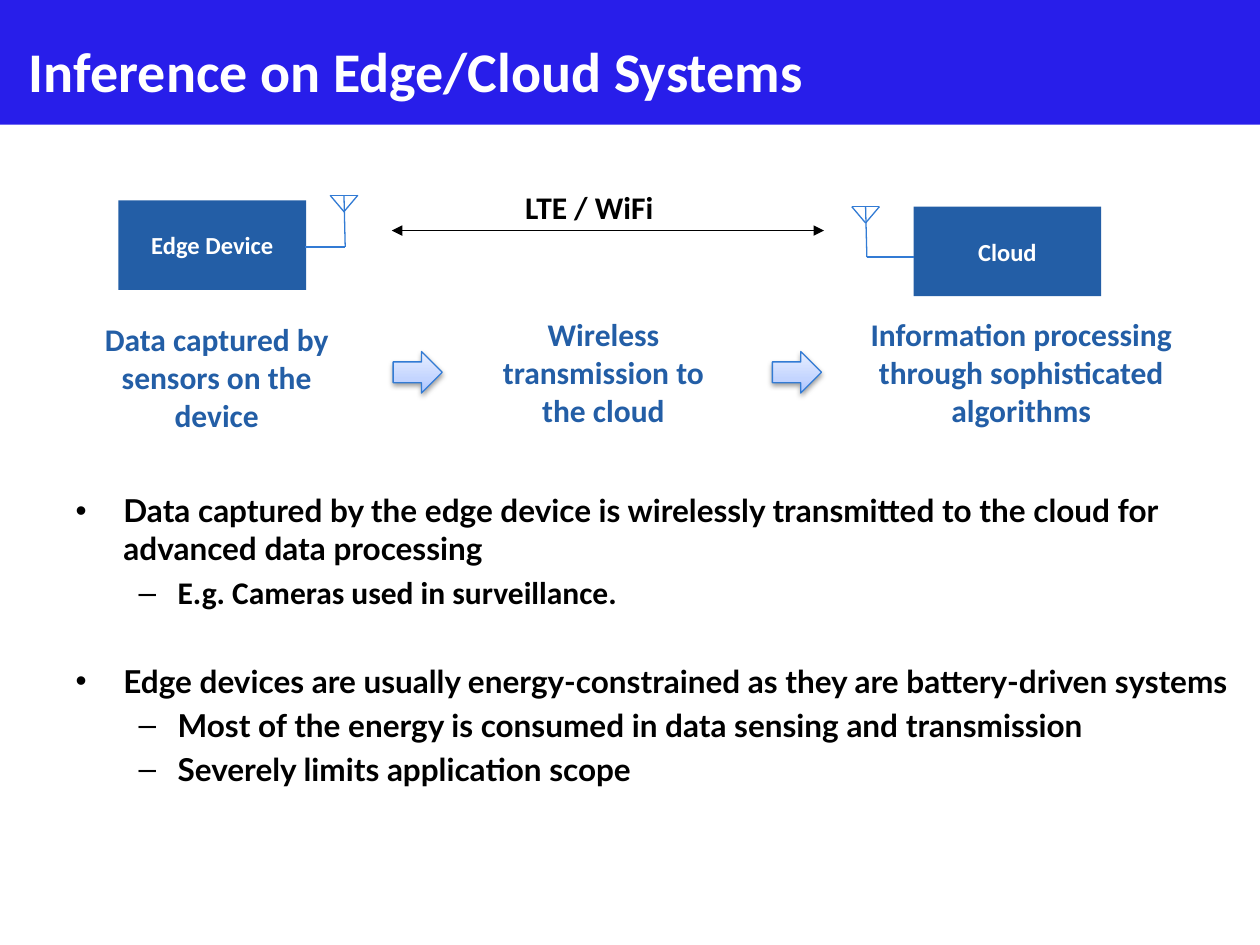
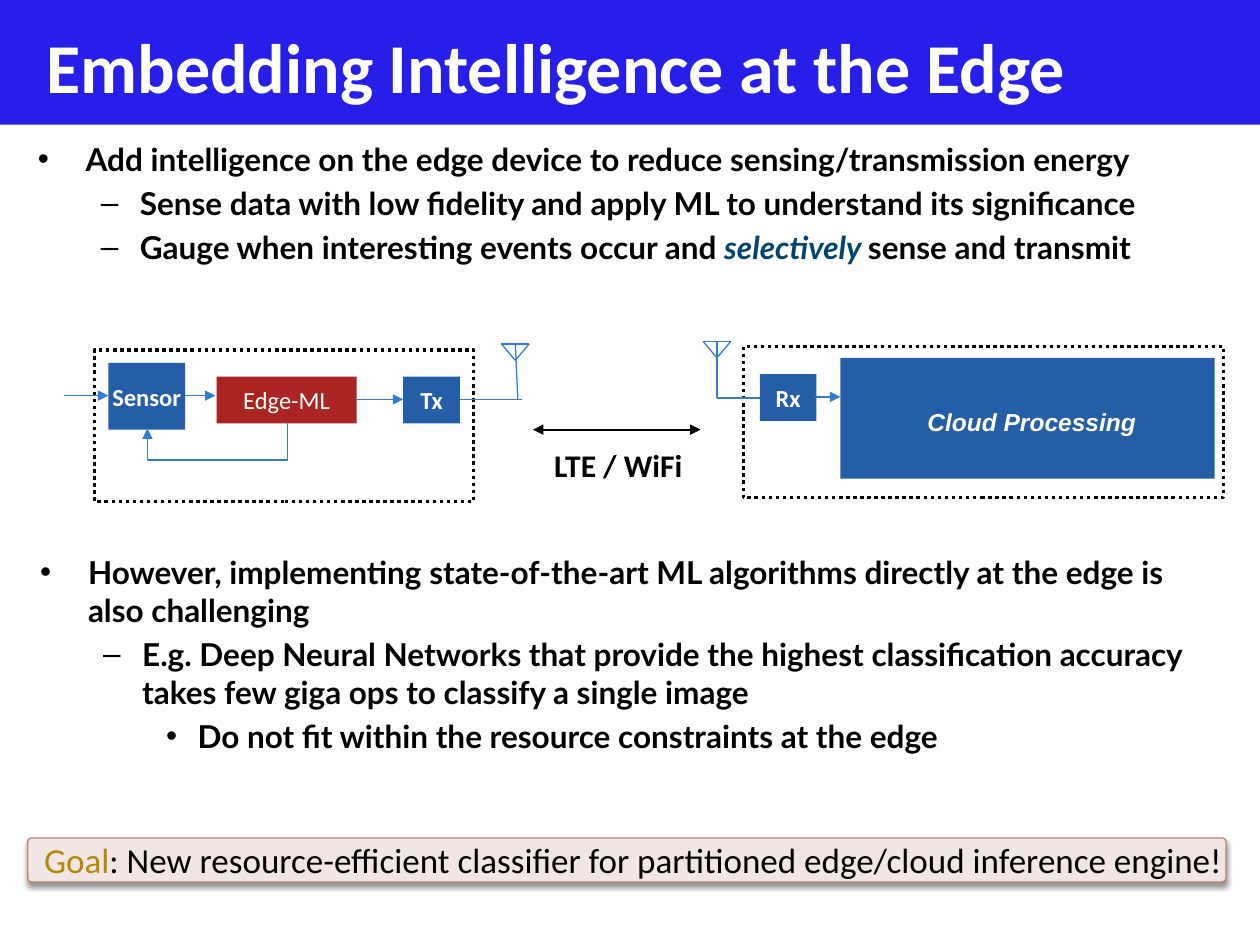
import copy

import pptx
import pptx.dml.color
import pptx.enum.dml
import pptx.enum.shapes
import pptx.enum.text
import pptx.oxml
import pptx.oxml.ns
import pptx.util

RGB = pptx.dml.color.RGBColor
SHAPE = pptx.enum.shapes.MSO_SHAPE
CONNECTOR = pptx.enum.shapes.MSO_CONNECTOR
ALIGN = pptx.enum.text.PP_ALIGN
ANCHOR = pptx.enum.text.MSO_ANCHOR
Pt = pptx.util.Pt
qn = pptx.oxml.ns.qn

BAND_BLUE = RGB(0x28, 0x1E, 0xEA)
BLOCK_BLUE = RGB(0x23, 0x5E, 0xA6)
WIRE_BLUE = RGB(0x32, 0x7B, 0xD4)
EMPHASIS_BLUE = RGB(0x00, 0x45, 0x6E)
ML_RED = RGB(0xAA, 0x24, 0x21)
GOAL_FILL = RGB(0xF1, 0xE6, 0xE3)
GOAL_EDGE = RGB(0xB8, 0x84, 0x72)
GOLD = RGB(0xB3, 0x88, 0x07)
WHITE = RGB(0xFF, 0xFF, 0xFF)
BLACK = RGB(0, 0, 0)
ARROW_STOPS = [
    (0, RGB(0xAB, 0xC4, 0xFF)),
    (0.35, RGB(0xC4, 0xD5, 0xFF)),
    (1, RGB(0xE8, 0xEF, 0xFF)),
]

COLUMNS, ROWS = 10, 7.5
NO_MARGIN, TEXT_MARGIN = (0, 0), (0.1, 0.05)
# Text start, hanging indent (both in columns) and bullet of each list level
LEVELS = [(0.38, 0.38, "•"), (0.81, 0.31, "–"), (1.25, 0.25, "•")]


class Deck:
    """Holds the shared style and the slide being filled; places on a 10 x 7.5 grid."""

    def __init__(self):
        self.presentation = pptx.Presentation()
        self.presentation.slide_width = pptx.util.Inches(10)
        self.presentation.slide_height = pptx.util.Inches(7.5)
        self.layout = self.presentation.slide_layouts[1]
        self.slide = None

    def x(self, columns):
        return round(self.presentation.slide_width * columns / COLUMNS)

    def y(self, rows):
        return round(self.presentation.slide_height * rows / ROWS)

    def area(self, left, top, width, height):
        return self.x(left), self.y(top), self.x(width), self.y(height)

    def place(self, holder, area):
        holder.left, holder.top, holder.width, holder.height = self.area(*area)

    def new_slide(self, title, area, size):
        """Starts a slide; the first one also gives the layout its band."""
        first = self.slide is None
        self.slide = self.presentation.slides.add_slide(self.layout)
        if first:
            band = self.block((0, 0, 10, 0.99), BAND_BLUE)
            self.layout.shapes.element.insert(2, band.element)
        heading = self.slide.shapes.title
        self.place(heading, area)
        self.fill_text(heading, [(title, {})], size, WHITE, align=ALIGN.LEFT)

    def style(self, run, size, color, bold=True, italic=False, name="Calibri"):
        run.font.size, run.font.name = Pt(size), name
        run.font.bold, run.font.italic = bold, italic
        run.font.color.rgb = color

    def fill_paragraph(self, paragraph, parts, **look):
        """Adds (text, style changes) parts as runs."""
        for text, changes in parts:
            run = paragraph.add_run()
            run.text = text
            self.style(run, **{**look, **changes})

    def frame(self, holder, anchor, margin):
        frame = holder.text_frame
        frame.word_wrap = True
        frame.auto_size = pptx.enum.text.MSO_AUTO_SIZE.NONE
        frame.vertical_anchor = anchor
        frame.margin_left = frame.margin_right = self.x(margin[0])
        frame.margin_top = frame.margin_bottom = self.y(margin[1])
        return frame

    def fill_text(self, holder, parts, size, color, align=ALIGN.CENTER,
                  anchor=ANCHOR.MIDDLE, margin=TEXT_MARGIN, **look):
        paragraph = self.frame(holder, anchor, margin).paragraphs[0]
        paragraph.alignment = align
        self.fill_paragraph(paragraph, parts, size=size, color=color, **look)
        return paragraph

    def label(self, text, area, size=18, color=BLACK, align=ALIGN.LEFT, **look):
        holder = self.slide.shapes.add_textbox(*self.area(*area))
        self.fill_text(holder, [(text, {})], size, color, align, ANCHOR.TOP, **look)

    def points(self, holder, items):
        """Fills a list with (level, space before, parts) items."""
        frame = self.frame(holder, ANCHOR.TOP, TEXT_MARGIN)
        for index, (level, space, parts) in enumerate(items):
            paragraph = frame.add_paragraph() if index else frame.paragraphs[0]
            paragraph.level = level
            paragraph.alignment = ALIGN.LEFT
            start, hanging, bullet = LEVELS[level]
            properties = paragraph._p.get_or_add_pPr()
            properties.set("marL", str(self.x(start)))
            properties.set("indent", str(-self.x(hanging)))
            for tag, key, value in [("a:buFont", "typeface", "Arial"),
                                    ("a:buChar", "char", bullet)]:
                properties.append(properties.makeelement(qn(tag), {key: value}))
            paragraph.space_before = Pt(space)
            self.fill_paragraph(paragraph, parts, size=18, color=BLACK, name="Lato")

    def body(self, area, items):
        holder = self.slide.placeholders[1]
        self.place(holder, area)
        self.points(holder, items)

    def side_list(self, area, items):
        self.points(self.slide.shapes.add_textbox(*self.area(*area)), items)

    def block(self, area, fill=None, text="", bold=True, kind=SHAPE.RECTANGLE):
        block = self.slide.shapes.add_shape(kind, *self.area(*area))
        block.shadow.inherit = False
        block.line.fill.background()
        if fill is None:
            block.fill.background()
        else:
            block.fill.solid()
            block.fill.fore_color.rgb = fill
        if text:
            self.fill_text(block, [(text, {})], 14, WHITE, margin=NO_MARGIN, bold=bold)
        return block

    def outline(self, shape, color, width):
        shape.line.color.rgb = color
        shape.line.width = Pt(width)

    def boundary(self, area):
        edge = self.block(area)
        self.outline(edge, BLACK, 2)
        edge.line.dash_style = pptx.enum.dml.MSO_LINE.ROUND_DOT

    def drop_shadow(self, shape, opacity, blur, distance):
        effects = shape.element.spPr.find(qn("a:effectLst"))
        effects.append(pptx.oxml.parse_xml(
            f'<a:outerShdw {pptx.oxml.ns.nsdecls("a")} blurRad="{int(Pt(blur))}" '
            f'dist="{int(Pt(distance))}" dir="5400000" rotWithShape="0">'
            f'<a:srgbClr val="{BLACK}"><a:alpha val="{opacity * 1000}"/></a:srgbClr>'
            '</a:outerShdw>'))

    def step_arrow(self, left, top):
        arrow = self.block((left, top, 0.39, 0.33), kind=SHAPE.RIGHT_ARROW)
        arrow.fill.gradient()
        arrow.fill.gradient_angle = 90
        stop_list = arrow.element.spPr.find(".//" + qn("a:gsLst"))
        stop_list.insert(1, copy.deepcopy(stop_list[0]))
        for stop, (position, color) in zip(arrow.fill.gradient_stops, ARROW_STOPS):
            stop.position = position
            stop.color.rgb = color
        self.outline(arrow, WIRE_BLUE, 0.75)
        self.drop_shadow(arrow, 38, 3.1, 1.6)

    def wire(self, start, end, color=WIRE_BLUE, width=0.75, ends=(),
             kind=CONNECTOR.STRAIGHT):
        """Draws a line; ends names the arrowheads, "headEnd" before "tailEnd"."""
        wire = self.slide.shapes.add_connector(
            kind, self.x(start[0]), self.y(start[1]), self.x(end[0]), self.y(end[1]))
        self.outline(wire, color, width)
        properties = wire.element.spPr
        line = properties.find(qn("a:ln"))
        for end_name in ends:
            line.append(line.makeelement(qn("a:" + end_name), {"type": "triangle"}))
        properties.append(properties.makeelement(qn("a:effectLst")))
        return wire

    def flow(self, start, end):
        self.wire(start, end, ends=["tailEnd"])

    def radio_link(self, left, right, row):
        self.wire((left, row), (right, row), BLACK, 1, ["headEnd", "tailEnd"])

    def feedback(self, start, end, drop):
        """Runs down from start by drop, across to the left, and up to end."""
        run, rise = start[0] - end[0], end[1] - start[1]
        middle_x, middle_y = (start[0] + end[0]) / 2, (start[1] + end[1]) / 2
        loop = self.wire((middle_x - rise / 2, middle_y - run / 2),
                         (middle_x + rise / 2, middle_y + run / 2),
                         ends=["tailEnd"], kind=CONNECTOR.ELBOW)
        properties = loop.element.spPr
        properties.find(qn("a:xfrm")).set("rot", "5400000")
        guides = properties.find(".//" + qn("a:avLst"))
        guides.append(guides.makeelement(
            qn("a:gd"), {"name": "adj1", "fmla": f"val {round(drop / rise * 100000)}"}))

    def antenna(self, mast, top, foot, feed_from, feed_to):
        """Draws the mast with its triangle and the feed line at row foot[1]."""
        self.wire((feed_from, foot[1]), (feed_to, foot[1]))
        self.wire(foot, (mast, top))
        self.wire((mast + 0.11, top), (mast - 0.11, top))
        for side in (-0.11, 0.11):
            self.wire((mast, top + 0.13), (mast + side, top))

    def goal(self, area, parts):
        banner = self.block(area, GOAL_FILL, kind=SHAPE.ROUNDED_RECTANGLE)
        banner.adjustments[0] = 0.09
        self.outline(banner, GOAL_EDGE, 0.75)
        self.drop_shadow(banner, 40, 3, 2)
        paragraph = self.fill_text(banner, parts, 20, BLACK, ALIGN.LEFT,
                                   margin=NO_MARGIN, bold=False)
        paragraph._p.get_or_add_pPr().set("marL", str(self.x(0.12)))
        paragraph.space_before = Pt(6)


def plain(level, text, space=3.6, **changes):
    """Makes a list item of one run."""
    return level, space, [(text, changes)]


def inference_slide(deck):
    deck.new_slide("Inference on Edge/Cloud Systems", (0.13, 0.14, 9.76, 0.84), 32)
    deck.body((0.5, 3.85, 9.39, 3.16), [
        plain(0, "Data captured by the edge device is wirelessly transmitted to the "
                 "cloud for advanced data processing"),
        plain(1, "E.g. Cameras used in surveillance.", name="Calibri"),
        plain(0, "Edge devices are usually energy-constrained as they are "
                 "battery-driven systems", space=28.8),
        plain(1, "Most of the energy is consumed in data sensing and transmission"),
        plain(1, "Severely limits application scope"),
    ])
    deck.block((0.94, 1.59, 1.49, 0.71), BLOCK_BLUE, "Edge Device")
    deck.block((7.25, 1.64, 1.49, 0.71), BLOCK_BLUE, "Cloud")
    deck.antenna(2.73, 1.55, (2.74, 1.96), 2.42, 2.74)
    deck.antenna(6.87, 1.64, (6.88, 2.04), 6.88, 7.25)
    deck.label("LTE / WiFi", (4.07, 1.44, 1.25, 0.4))
    deck.radio_link(3.11, 6.54, 1.83)
    for stage, left, top, width in [
        ("Data captured by sensors on the device", 0.63, 2.49, 2.18),
        ("Wireless transmission to the cloud", 3.76, 2.45, 2.06),
        ("Information processing through sophisticated algorithms", 6.65, 2.45, 2.91),
    ]:
        deck.label(stage, (left, top, width, 1.01), color=BLOCK_BLUE, align=ALIGN.CENTER)
    for left in (3.12, 6.13):
        deck.step_arrow(left, 2.79)


def embedding_slide(deck):
    deck.new_slide("Embedding Intelligence at the Edge", (0.27, 0.1, 9.45, 0.84), 40)
    deck.body((0.2, 1.06, 9.45, 1.53), [
        plain(0, "Add intelligence on the edge device to reduce "
                 "sensing/transmission energy"),
        plain(1, "Sense data with low fidelity and apply ML to understand its "
                 "significance"),
        (1, 3.6, [("Gauge when interesting events occur and ", {}),
                  ("selectively ", {"color": EMPHASIS_BLUE, "italic": True}),
                  ("sense and transmit", {})]),
    ])
    deck.side_list((0.22, 4.34, 9.45, 2.16), [
        plain(0, "However, implementing state-of-the-art ML algorithms directly at "
                 "the edge is also challenging"),
        plain(1, "E.g. Deep Neural Networks that provide the highest classification "
                 "accuracy takes few giga ops to classify a single image"),
        plain(2, "Do not fit within the resource constraints at the edge"),
    ])

    deck.boundary((0.75, 2.78, 3.01, 1.2))
    deck.block((0.86, 2.88, 0.61, 0.53), BLOCK_BLUE, "Sensor")
    deck.block((1.72, 2.99, 1.11, 0.37), ML_RED, "Edge-ML", bold=False)
    deck.block((3.2, 2.99, 0.45, 0.37), BLOCK_BLUE, "Tx")
    deck.flow((0.51, 3.14), (0.86, 3.14))
    deck.flow((1.47, 3.14), (1.71, 3.14))
    deck.flow((2.83, 3.17), (3.2, 3.17))
    deck.feedback((2.28, 3.35), (1.17, 3.4), 0.3)
    deck.antenna(4.09, 2.73, (4.11, 3.17), 3.65, 4.14)

    deck.label("LTE / WiFi", (4.3, 3.49, 1.48, 0.4))
    deck.radio_link(4.23, 5.56, 3.41)

    deck.boundary((5.9, 2.75, 3.81, 1.2))
    deck.antenna(5.69, 2.71, (5.69, 3.16), 5.69, 6.06)
    deck.block((6.03, 2.97, 0.45, 0.37), BLOCK_BLUE, "Rx")
    deck.flow((6.47, 3.15), (6.67, 3.15))
    deck.block((6.67, 2.84, 2.97, 0.96), BLOCK_BLUE)
    deck.label("Cloud Processing", (6.71, 3.23, 2.96, 0.24), 14, WHITE, ALIGN.CENTER,
               margin=NO_MARGIN, italic=True, name="Arial")

    deck.goal((0.22, 6.65, 9.51, 0.35), [
        ("Goal", {"color": GOLD}),
        (": New resource-efficient classifier for partitioned edge/cloud "
         "inference engine!", {}),
    ])


def main():
    deck = Deck()
    inference_slide(deck)
    embedding_slide(deck)
    deck.presentation.save("out.pptx")


if __name__ == "__main__":
    main()
